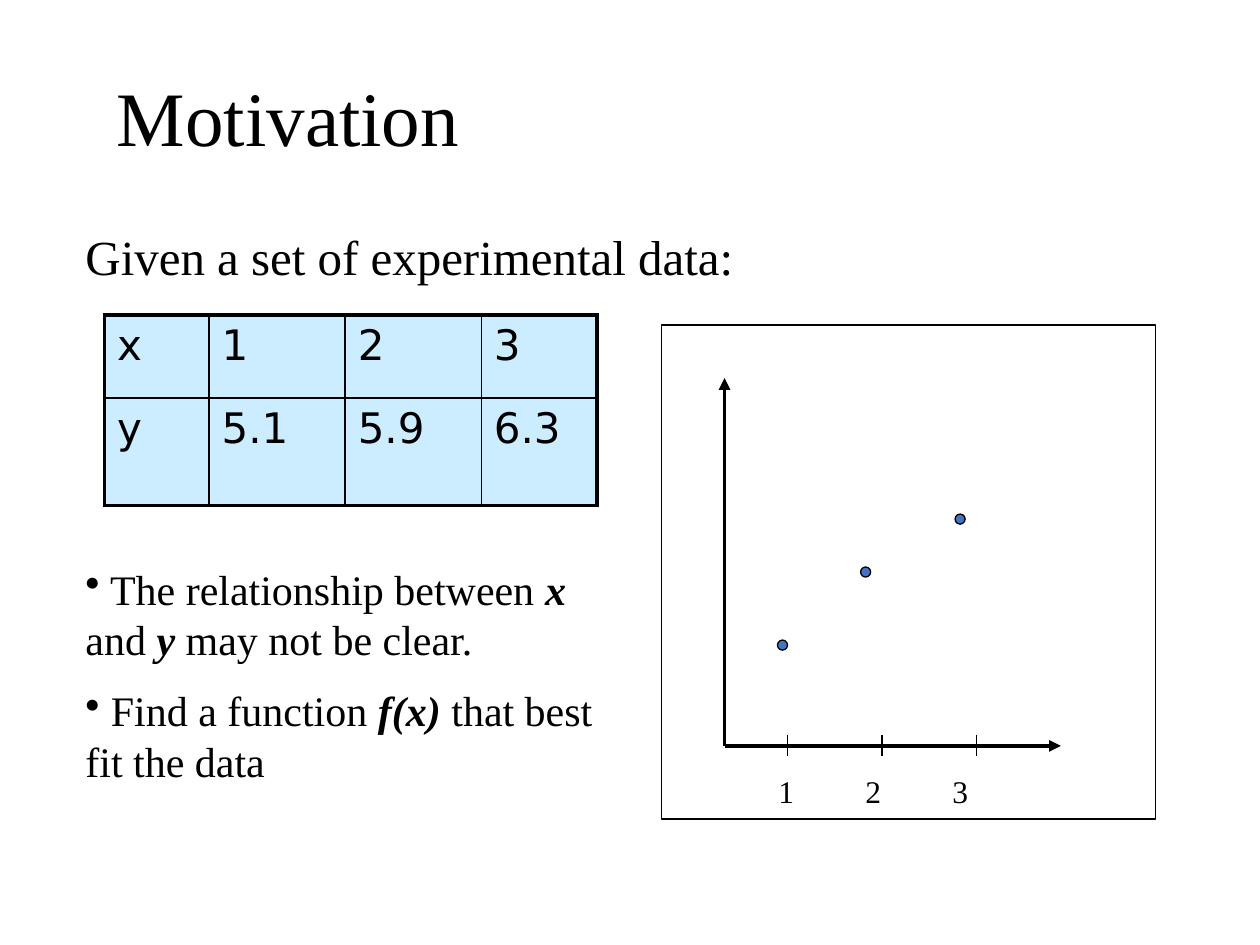
from dataclasses import dataclass

from pptx import Presentation
from pptx.dml.color import RGBColor
from pptx.enum.shapes import MSO_CONNECTOR, MSO_SHAPE
from pptx.enum.text import MSO_ANCHOR
from pptx.oxml.ns import qn
from pptx.util import Inches, Pt
from lxml import etree

LINE = MSO_CONNECTOR.STRAIGHT
RECT, OVAL = MSO_SHAPE.RECTANGLE, MSO_SHAPE.OVAL
TOP, MIDDLE = MSO_ANCHOR.TOP, MSO_ANCHOR.MIDDLE
SERIF, SANS = "Times New Roman", "DejaVu Sans"
COLORS = {"ink": "000000", "cell": "CCECFF", "point": "4472C4"}


@dataclass
class Run:
    text: str
    strong: bool = False


@dataclass
class Segment:
    x1: float
    y1: float
    x2: float
    y2: float
    width: float = 0.75
    arrow: bool = False


@dataclass
class Point:
    x: float
    y: float


def rgb(name: str) -> RGBColor:
    return RGBColor.from_string(COLORS[name])


def add_runs(p, runs: list[Run], size: float, font: str = SERIF) -> None:
    for run in runs:
        r = p.add_run()
        r.text = run.text
        r.font.size, r.font.name = Pt(size), font
        r.font.bold = r.font.italic = run.strong
        r.font.color.rgb = rgb("ink")


def add_text(box: tuple, paragraphs: list[list[Run]], size: float, before: float = 0,
             spacing: float = 1.0, anchor=TOP, bullet: bool = False):
    tf = slide.shapes.add_textbox(*map(Inches, box)).text_frame
    tf.word_wrap, tf.vertical_anchor = True, anchor
    for i, runs in enumerate(paragraphs):
        p = tf.add_paragraph() if i else tf.paragraphs[0]
        p.space_before, p.line_spacing = Pt(before), spacing
        if bullet:
            etree.SubElement(p._p.get_or_add_pPr(), qn("a:buChar"), char="•")
        add_runs(p, runs, size)
    return tf


def add_shape(kind, box: tuple, fill: str = "") -> None:
    sp = slide.shapes.add_shape(kind, *map(Inches, box))
    sp.shadow.inherit = False
    if fill:
        sp.fill.solid()
        sp.fill.fore_color.rgb = rgb(fill)
    else:
        sp.fill.background()
    sp.line.color.rgb, sp.line.width = rgb("ink"), Pt(0.75)


def add_segment(seg: Segment) -> None:
    ends = map(Inches, (seg.x1, seg.y1, seg.x2, seg.y2))
    cxn = slide.shapes.add_connector(LINE, *ends)
    cxn.line.color.rgb, cxn.line.width = rgb("ink"), Pt(seg.width)
    if seg.arrow:
        etree.SubElement(cxn.line._get_or_add_ln(), qn("a:tailEnd"), type="triangle")
    etree.SubElement(cxn._element.spPr, qn("a:effectLst"))


def add_border(cell, side: str, width: float) -> None:
    ln = etree.SubElement(cell._tc.get_or_add_tcPr(), qn(f"a:ln{side}"), w=str(Pt(width)))
    fill = etree.SubElement(ln, qn("a:solidFill"))
    etree.SubElement(fill, qn("a:srgbClr"), val=COLORS["ink"])


def add_data_table(left: float, top: float, widths: list[float], heights: list[float],
                   rows: list[list[str]]) -> None:
    frame = slide.shapes.add_table(len(rows), len(widths), Inches(left), Inches(top),
                                   Inches(sum(widths)), Inches(sum(heights)))
    table = frame.table
    for col, width in zip(table.columns, widths):
        col.width = Inches(width)
    for i, (height, values) in enumerate(zip(heights, rows)):
        table.rows[i].height = Inches(height)
        for j, value in enumerate(values):
            cell = table.cell(i, j)
            outer = {"L": j == 0, "R": j == len(widths) - 1,
                     "T": i == 0, "B": i == len(rows) - 1}
            for side, is_outer in outer.items():
                add_border(cell, side, 2.25 if is_outer else 1)
            cell.fill.solid()
            cell.fill.fore_color.rgb = rgb("cell")
            p = cell.text_frame.paragraphs[0]
            p.space_before = Pt(4.8)
            add_runs(p, [Run(value)], 24, SANS)


prs = Presentation()
prs.slide_width, prs.slide_height = Inches(10), Inches(7.5)
slide = prs.slides.add_slide(prs.slide_layouts[6])

# Title and introduction
add_text((0.83, 0.34, 8.17, 1.25), [[Run("Motivation")]], 44, spacing=0.9, anchor=MIDDLE)
add_text((0.58, 1.8, 8.27, 0.6), [[Run("Given a set of experimental data:")]], 28,
         before=10, spacing=0.9)

# Experimental data
add_data_table(0.83, 2.5, [0.83, 1.08, 1.08, 0.92], [0.66, 0.85],
               [["x", "1", "2", "3"], ["y", "5.1", "5.9", "6.3"]])

# Bullets
add_text((0.58, 4.42, 4.33, 1.92), [
    [Run(" The relationship between "), Run("x", True), Run(" and "), Run("y", True),
     Run(" may not be clear.")],
    [Run(" Find a function "), Run("f(x)", True), Run(" that best fit the data")],
], 24, before=12, bullet=True)

# Plot frame, axes and ticks
ORIGIN = Point(5.75, 5.92)
add_shape(RECT, (5.25, 2.58, 3.92, 3.92))
axes = [Segment(ORIGIN.x, ORIGIN.y, ORIGIN.x, 3, 2.25, True),
        Segment(ORIGIN.x, ORIGIN.y, 8.42, ORIGIN.y, 2.25, True)]
ticks = [Segment(6.25 + 0.75 * i, 5.83, 6.25 + 0.75 * i, 6) for i in range(3)]
for seg in axes + ticks:
    add_segment(seg)

# Tick labels on evenly spaced tab stops
tf = add_text((6.08, 6.08, 2.33, 0.4), [[Run("1\t2\t3")]], 18, before=9)
tabs = etree.SubElement(tf.paragraphs[0]._p.get_or_add_pPr(), qn("a:tabLst"))
for i in (1, 2):
    etree.SubElement(tabs, qn("a:tab"), pos=str(Inches(0.69 * i)), algn="l")

# Data points
DOT = 0.08
for point in (Point(6.17, 5.08), Point(6.83, 4.5), Point(7.58, 4.08)):
    add_shape(OVAL, (point.x, point.y, DOT, DOT), "point")

prs.save("out.pptx")
